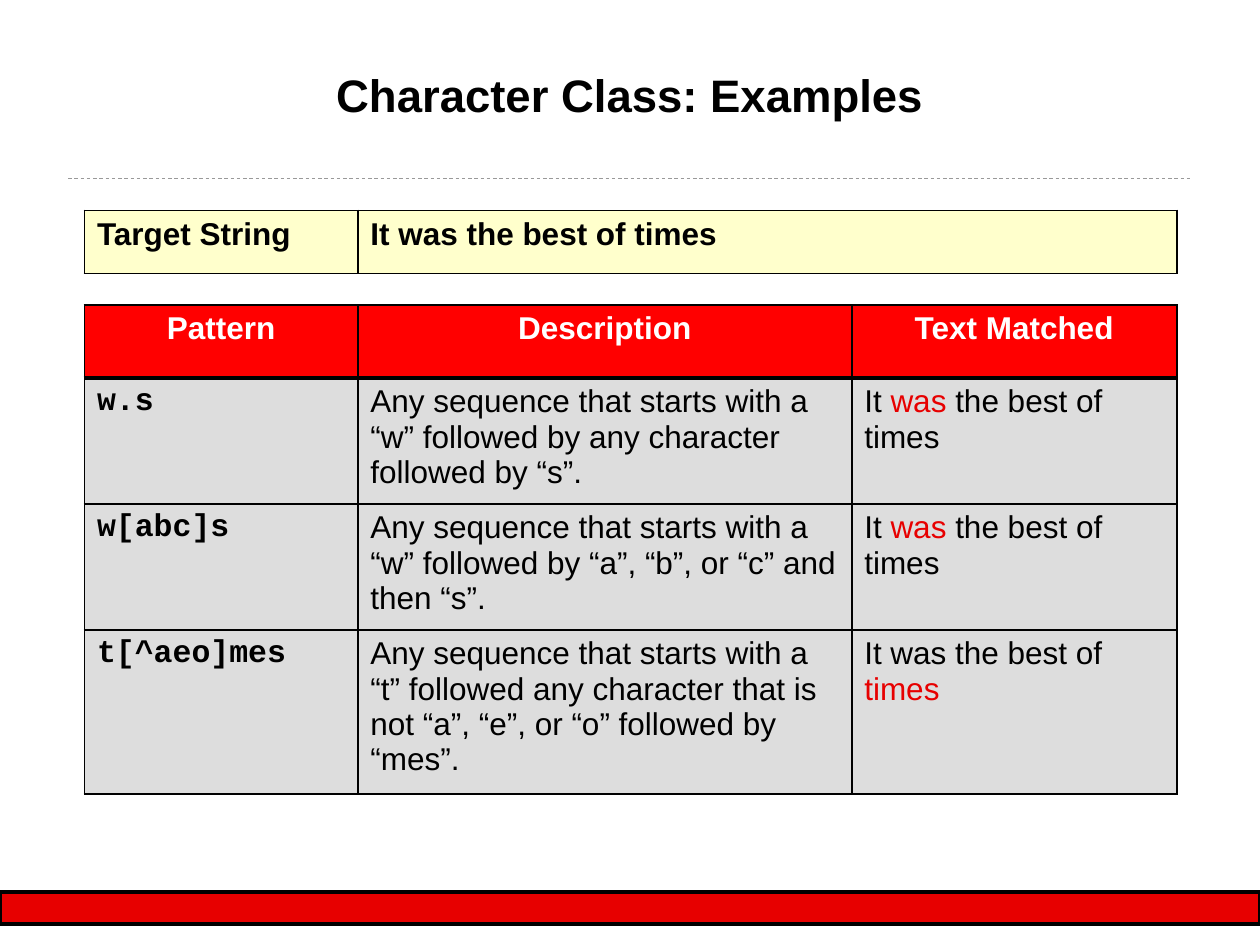
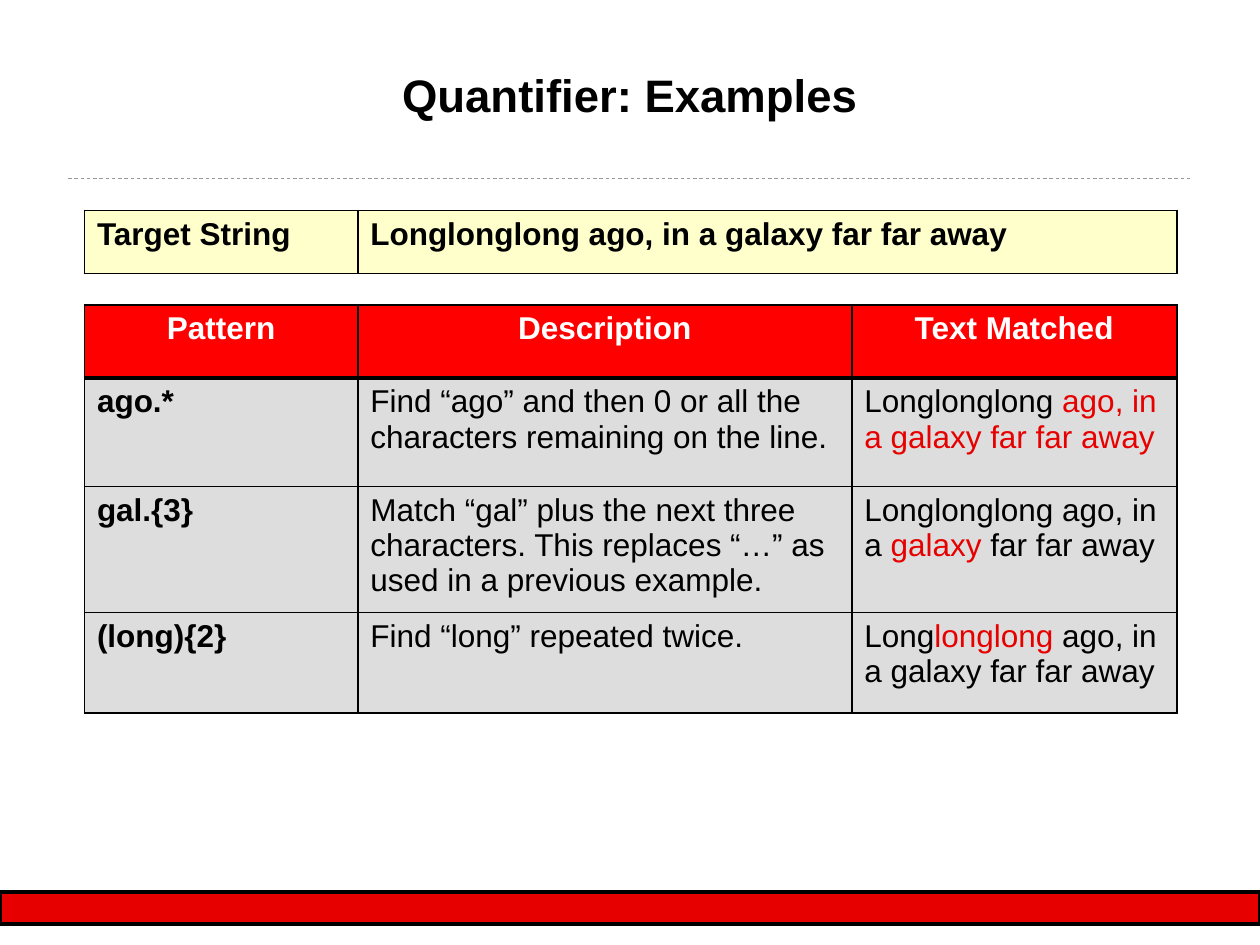
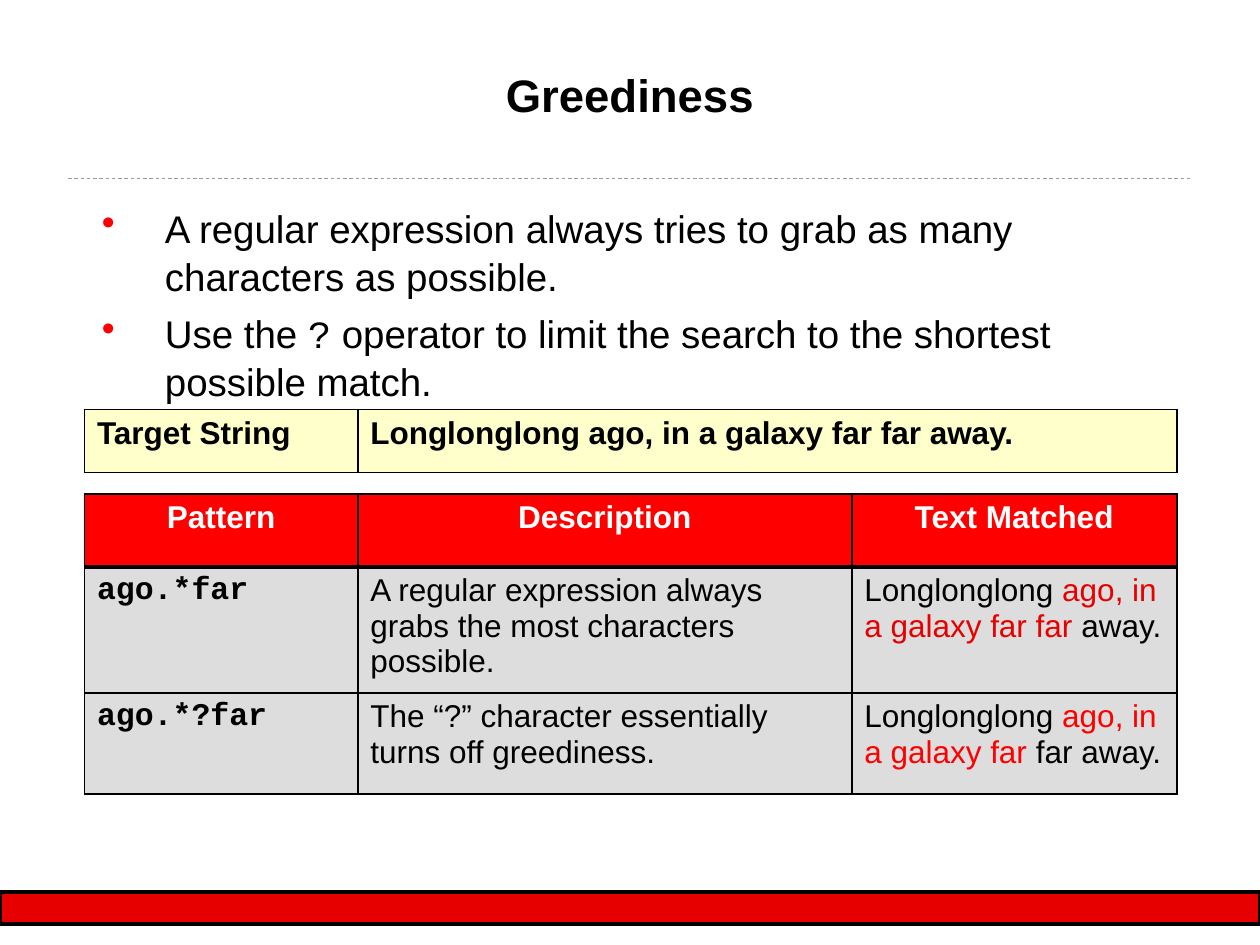
import pptx
import pptx.util
import pptx.dml.color
import pptx.enum.dml
import pptx.enum.shapes
import pptx.enum.text
import pptx.oxml
import pptx.oxml.ns
from lxml import etree

Inches, Pt = pptx.util.Inches, pptx.util.Pt
Align = pptx.enum.text.PP_ALIGN

# Shared look
COLORS = {"text": "000000", "white": "FFFFFF", "band": "E70000", "match": "E70000",
          "red": "FF0000", "rule": "999999", "target": "FFFFCC", "row": "DDDDDD"}
SANS, MONO = "Arial", "Courier New"
SLIDE_W, SLIDE_H = 10, 7.5
MARGIN = 0.67
TARGET_COLS = [2.17, 6.5]
EXAMPLE_COLS = [2.17, 3.92, 2.58]
TARGET_H, HEAD_H = 0.5, 0.58
THIN, THICK = 1.08, 2.21
HEADINGS = ["Pattern", "Description", "Text Matched"]

# Content; an example is row height, pattern, description, (before, match, after)
SLIDES = [
    {"title": "Character Class: Examples", "font": MONO, "tops": (1.67, 2.42),
     "target": "It was the best of times",
     "examples": [
         (1, "w.s", "Any sequence that starts with a “w” followed by any character "
          "followed by “s”.", ("It ", "was", " the best of times")),
         (1, "w[abc]s", "Any sequence that starts with a “w” followed by “a”, “b”, "
          "or “c” and then “s”.", ("It ", "was", " the best of times")),
         (1.3, "t[^aeo]mes", "Any sequence that starts with a “t” followed any character "
          "that is not “a”, “e”, or “o” followed by “mes”.",
          ("It was the best of ", "times", "")),
     ]},
    {"title": "Quantifier: Examples", "font": SANS, "tops": (1.67, 2.42),
     "target": "Longlonglong ago, in a galaxy far far away",
     "examples": [
         (0.86, "ago.*", "Find “ago” and then 0 or all the characters remaining on the line.",
          ("Longlonglong ", "ago, in a galaxy far far away", "")),
         (1, "gal.{3}", "Match “gal” plus the next three characters. This replaces “…” "
          "as used in a previous example.",
          ("Longlonglong ago, in a ", "galaxy", " far far away")),
         (0.8, "(long){2}", "Find “long” repeated twice.",
          ("Long", "longlong", " ago, in a galaxy far far away")),
     ]},
    {"title": "Greediness", "font": MONO, "tops": (3.25, 3.92),
     "bullets": [
         [("A regular expression always tries to grab as many characters as possible.", {})],
         [("Use the ", {}), ("?", {"font": MONO}),
          (" operator to limit the search to the shortest possible match.", {})],
     ],
     "target": "Longlonglong ago, in a galaxy far far away.",
     "examples": [
         (1, "ago.*far", "A regular expression always grabs the most characters possible.",
          ("Longlonglong ", "ago, in a galaxy far far", " away.")),
         (0.8, "ago.*?far", "The “?” character essentially turns off greediness.",
          ("Longlonglong ", "ago, in a galaxy far", " far away."), "red"),
     ]},
]


def rgb(name):
    return pptx.dml.color.RGBColor.from_string(COLORS[name])


def write(p, text, size=18, font=SANS, color="text", bold=False, align=None):
    """Add one formatted run to a paragraph."""
    r = p.add_run()
    r.text = text
    r.font.size, r.font.name, r.font.bold = Pt(size), font, bold
    r.font.color.rgb = rgb(color)
    if align is not None:
        p.alignment = align


def add_box(slide, top, height, top_inset):
    tf = slide.shapes.add_textbox(Inches(MARGIN), Inches(top),
                                  Inches(SLIDE_W - 2 * MARGIN), Inches(height)).text_frame
    tf.word_wrap = True
    tf.margin_left = tf.margin_right = tf.margin_bottom = Inches(0.01)
    tf.margin_top = Inches(top_inset)
    return tf


def add_frame(slide, title):
    """Dashed rule, bottom band and title."""
    rule = slide.shapes.add_connector(pptx.enum.shapes.MSO_CONNECTOR.STRAIGHT, Inches(0.54),
                                      Inches(1.42), Inches(SLIDE_W - 0.54), Inches(1.42))
    rule.line.color.rgb, rule.line.width = rgb("rule"), Pt(0.5)
    rule.line.dash_style = pptx.enum.dml.MSO_LINE.DASH
    etree.SubElement(rule._element.spPr, pptx.oxml.ns.qn("a:effectLst"))

    band = slide.shapes.add_shape(pptx.enum.shapes.MSO_SHAPE.FLOWCHART_PROCESS, 0,
                                  Inches(7.08), Inches(SLIDE_W), Inches(0.25))
    band.shadow.inherit = False
    band.fill.solid()
    band.fill.fore_color.rgb = rgb("band")
    band.line.color.rgb, band.line.width = rgb("text"), Pt(2.25)

    tf = add_box(slide, 0.48, 0.96, 0.05)
    write(tf.paragraphs[0], title, size=26, bold=True, align=Align.CENTER)


def add_bullets(slide, bullets):
    tf = add_box(slide, 1.58, 2.15, 0.03)
    for i, runs in enumerate(bullets):
        p = tf.add_paragraph() if i else tf.paragraphs[0]
        pPr = p._p.get_or_add_pPr()
        pPr.set("marL", str(Inches(0.63)))
        pPr.set("indent", str(Inches(-0.5)))
        color = etree.SubElement(pPr, pptx.oxml.ns.qn("a:buClr"))
        etree.SubElement(color, pptx.oxml.ns.qn("a:srgbClr"), val=COLORS["red"])
        etree.SubElement(pPr, pptx.oxml.ns.qn("a:buChar"), char="•")
        p.line_spacing = 1.04
        if i:
            p.space_before = Pt(5.5)
        for text, style in runs:
            write(p, text, size=22, **style)


def style_cell(cell, fill, top=THIN, bottom=THIN):
    tcPr = cell._tc.get_or_add_tcPr()
    for side, width in (("L", THIN), ("R", THIN), ("T", top), ("B", bottom)):
        ln = etree.SubElement(tcPr, pptx.oxml.ns.qn("a:ln" + side), w=str(Pt(width)))
        solid = etree.SubElement(ln, pptx.oxml.ns.qn("a:solidFill"))
        etree.SubElement(solid, pptx.oxml.ns.qn("a:srgbClr"), val=COLORS["text"])
    cell.fill.solid()
    cell.fill.fore_color.rgb = rgb(fill)


def add_grid(slide, top, cols, rows):
    table = slide.shapes.add_table(len(rows), len(cols), Inches(MARGIN), Inches(top),
                                   Inches(sum(cols)), Inches(sum(rows))).table
    table.first_row = table.horz_banding = False
    for col, width in zip(table.columns, cols):
        col.width = Inches(width)
    for row, height in zip(table.rows, rows):
        row.height = Inches(height)
    return table


def add_target(slide, top, target):
    table = add_grid(slide, top, TARGET_COLS, [TARGET_H])
    for cell, text in zip(table.rows[0].cells, ["Target String", target]):
        style_cell(cell, "target")
        write(cell.text_frame.paragraphs[0], text, bold=True)


def add_examples(slide, top, examples, pattern_font):
    table = add_grid(slide, top, EXAMPLE_COLS, [HEAD_H] + [e[0] for e in examples])
    for cell, text in zip(table.rows[0].cells, HEADINGS):
        style_cell(cell, "red", bottom=THICK)
        write(cell.text_frame.paragraphs[0], text, color="white", bold=True, align=Align.CENTER)

    for i, (_, pattern, description, parts, *hue) in enumerate(examples, 1):
        cells = list(table.rows[i].cells)
        for cell in cells:
            style_cell(cell, "row", top=THICK if i == 1 else THIN)
        first, second, third = [cell.text_frame.paragraphs[0] for cell in cells]
        write(first, pattern, font=pattern_font, bold=True)
        write(second, description)
        for text, color in zip(parts, ("text", *(hue or ["match"]), "text")):
            if text:
                write(third, text, color=color)


def main():
    prs = pptx.Presentation()
    prs.slide_width, prs.slide_height = Inches(SLIDE_W), Inches(SLIDE_H)
    for page in SLIDES:
        slide = prs.slides.add_slide(prs.slide_layouts[6])
        add_frame(slide, page["title"])
        if "bullets" in page:
            add_bullets(slide, page["bullets"])
        target_top, examples_top = page["tops"]
        add_target(slide, target_top, page["target"])
        add_examples(slide, examples_top, page["examples"], page["font"])
    prs.save("out.pptx")


if __name__ == "__main__":
    main()
